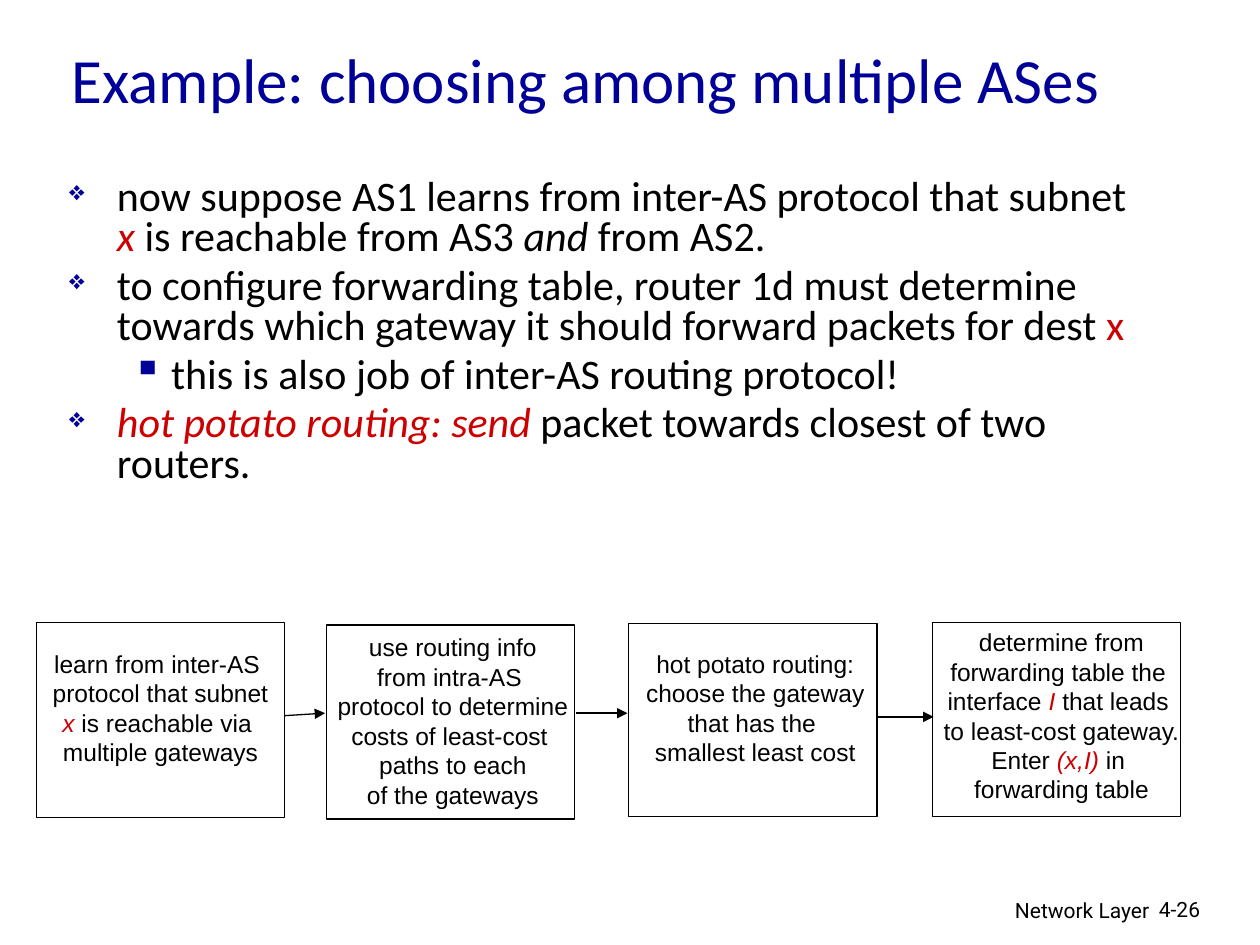
from dataclasses import dataclass

from lxml.etree import SubElement
from pptx import Presentation
from pptx.dml.color import RGBColor as Color
from pptx.enum.shapes import MSO_CONNECTOR as Connector, MSO_SHAPE as Shape
from pptx.enum.text import MSO_ANCHOR as Anchor, PP_ALIGN as Align
from pptx.oxml.ns import qn
from pptx.util import Inches, Pt


@dataclass(frozen=True)
class Theme:
    navy: Color = Color.from_string("000099")
    black: Color = Color.from_string("000000")
    red: Color = Color.from_string("CC0000")
    heading_font: str = "Calibri"
    step_font: str = "Arial"
    footer_font: str = "Roboto"
    title_size: int = 36
    body_size: int = 24
    step_size: int = 14
    footer_size: int = 12
    line_width: float = 0.75


THEME = Theme()
PLAIN, RED, ITALIC, RED_ITALIC = (
    (THEME.black, False),
    (THEME.red, False),
    (THEME.black, True),
    (THEME.red, True),
)

BULLETS = [
    (0, [("now suppose AS1 learns from inter-AS protocol that subnet ", PLAIN),
         ("x ", RED_ITALIC), ("is reachable from AS3 ", PLAIN),
         ("and", ITALIC), (" from AS2.", PLAIN)]),
    (0, [("to configure forwarding table, router 1d must determine towards "
          "which gateway it should forward packets for dest ", PLAIN), ("x", RED)]),
    (1, [("this is also job of inter-AS routing protocol!", PLAIN)]),
    (0, [("hot potato routing: send", RED_ITALIC),
         (" packet towards closest of two routers.", PLAIN)]),
]
BULLET_LEVELS = [("❖", 0.38, 0.38, 65), ("▪", 0.81, 0.31, 100)]

STEPS = [
    ((0.29, 4.94, 1.97, 1.55), (0.31, 5.1, 1.93, 1.04), None,
     ["learn from inter-AS ", "protocol that subnet ",
      [("x ", RED_ITALIC), ("is reachable via ", PLAIN)], "multiple gateways"]),
    ((2.59, 4.96, 1.97, 1.54), (2.44, 4.97, 2.31, 1.52), (2.26, 5.68, 2.58, 5.66),
     ["use routing info", "from intra-AS ", "protocol to determine",
      "costs of least-cost ", "paths to each", "of the gateways"]),
    ((4.99, 4.95, 1.97, 1.53), (5.01, 5.1, 1.97, 1.03), (4.57, 5.66, 4.98, 5.66),
     ["hot potato routing:", "choose the gateway", "that has the ",
      "smallest least cost"]),
    ((7.4, 4.94, 1.97, 1.54), (7.38, 4.93, 2.09, 1.51), (6.97, 5.69, 7.41, 5.69),
     ["determine from", "forwarding table the ",
      [("interface", PLAIN), (" I ", RED_ITALIC), ("that leads ", PLAIN)],
      "to least-cost gateway. ",
      [("Enter ", PLAIN), ("(x,I) ", RED_ITALIC), ("in ", PLAIN)],
      "forwarding table"]),
]


def inches(values):
    return [Inches(value) for value in values]


def set_font(para, name, size, color=THEME.black):
    para.font.name = name
    para.font.size = Pt(size)
    para.font.color.rgb = color


def add_spans(para, spans):
    for text, (color, italic) in spans:
        span = para.add_run()
        span.text = text
        span.font.color.rgb = color
        span.font.italic = italic


def add_paragraphs(frame, count):
    return [frame.paragraphs[0]] + [frame.add_paragraph() for _ in range(count - 1)]


def set_bullet(para, level):
    mark, margin, hanging, percent = BULLET_LEVELS[level]
    para.level = level
    props = para._p.get_or_add_pPr()
    props.set("marL", str(Inches(margin)))
    props.set("indent", str(-Inches(hanging)))
    color = SubElement(props, qn("a:buClr"))
    SubElement(color, qn("a:srgbClr"), val=str(THEME.navy))
    SubElement(props, qn("a:buSzPct"), val=str(percent * 1000))
    SubElement(props, qn("a:buChar"), char=mark)


def place_title(page, box):
    title = page.shapes.title
    title.left, title.top, title.width, title.height = inches(box)
    frame = title.text_frame
    frame.text = "Example: choosing among multiple ASes"
    frame.vertical_anchor = Anchor.MIDDLE
    para = frame.paragraphs[0]
    para.alignment = Align.LEFT
    set_font(para, THEME.heading_font, THEME.title_size, THEME.navy)


def place_bullets(page, box):
    frame = page.shapes.add_textbox(*inches(box)).text_frame
    frame.word_wrap = True
    for para, (level, spans) in zip(add_paragraphs(frame, len(BULLETS)), BULLETS):
        para.line_spacing = 0.8
        para.space_before = Pt(4.8)
        set_bullet(para, level)
        set_font(para, THEME.heading_font, THEME.body_size)
        add_spans(para, spans)


def add_arrow(shapes, ends):
    arrow = shapes.add_connector(Connector.STRAIGHT, *inches(ends))
    arrow.line.color.rgb = THEME.black
    arrow.line.width = Pt(THEME.line_width)
    SubElement(arrow.line._get_or_add_ln(), qn("a:tailEnd"), type="triangle")
    SubElement(arrow._element.spPr, qn("a:effectLst"))


def place_step(page, box, text_box, arrow_ends, lines):
    shapes = page.shapes.add_group_shape().shapes
    border = shapes.add_shape(Shape.RECTANGLE, *inches(box))
    border.shadow.inherit = False
    border.fill.background()
    border.line.color.rgb = THEME.black
    border.line.width = Pt(THEME.line_width)

    frame = shapes.add_textbox(*inches(text_box)).text_frame
    frame.word_wrap = False
    for para, line in zip(add_paragraphs(frame, len(lines)), lines):
        para.alignment = Align.CENTER
        set_font(para, THEME.step_font, THEME.step_size)
        add_spans(para, [(line, PLAIN)] if isinstance(line, str) else line)

    if arrow_ends:
        add_arrow(shapes, arrow_ends)


def place_footer(page, box, text, alignment):
    frame = page.shapes.add_textbox(*inches(box)).text_frame
    frame.word_wrap = True
    frame.text = text
    para = frame.paragraphs[0]
    para.alignment = alignment
    set_font(para, THEME.footer_font, THEME.footer_size)


def main():
    deck = Presentation()
    deck.slide_width, deck.slide_height = Inches(10), Inches(7.5)
    page = deck.slides.add_slide(deck.slide_layouts.get_by_name("Title Only"))
    place_footer(page, (6.05, 7.07, 3.17, 0.31), "Network Layer", Align.RIGHT)
    place_footer(page, (9.1, 7.07, 0.74, 0.3), "4-26", Align.LEFT)
    for step in STEPS:
        place_step(page, *step)
    place_title(page, (0.47, 0, 9.59, 1.25))
    place_bullets(page, (0.45, 1.37, 8.74, 3.01))
    deck.save("out.pptx")


if __name__ == "__main__":
    main()
